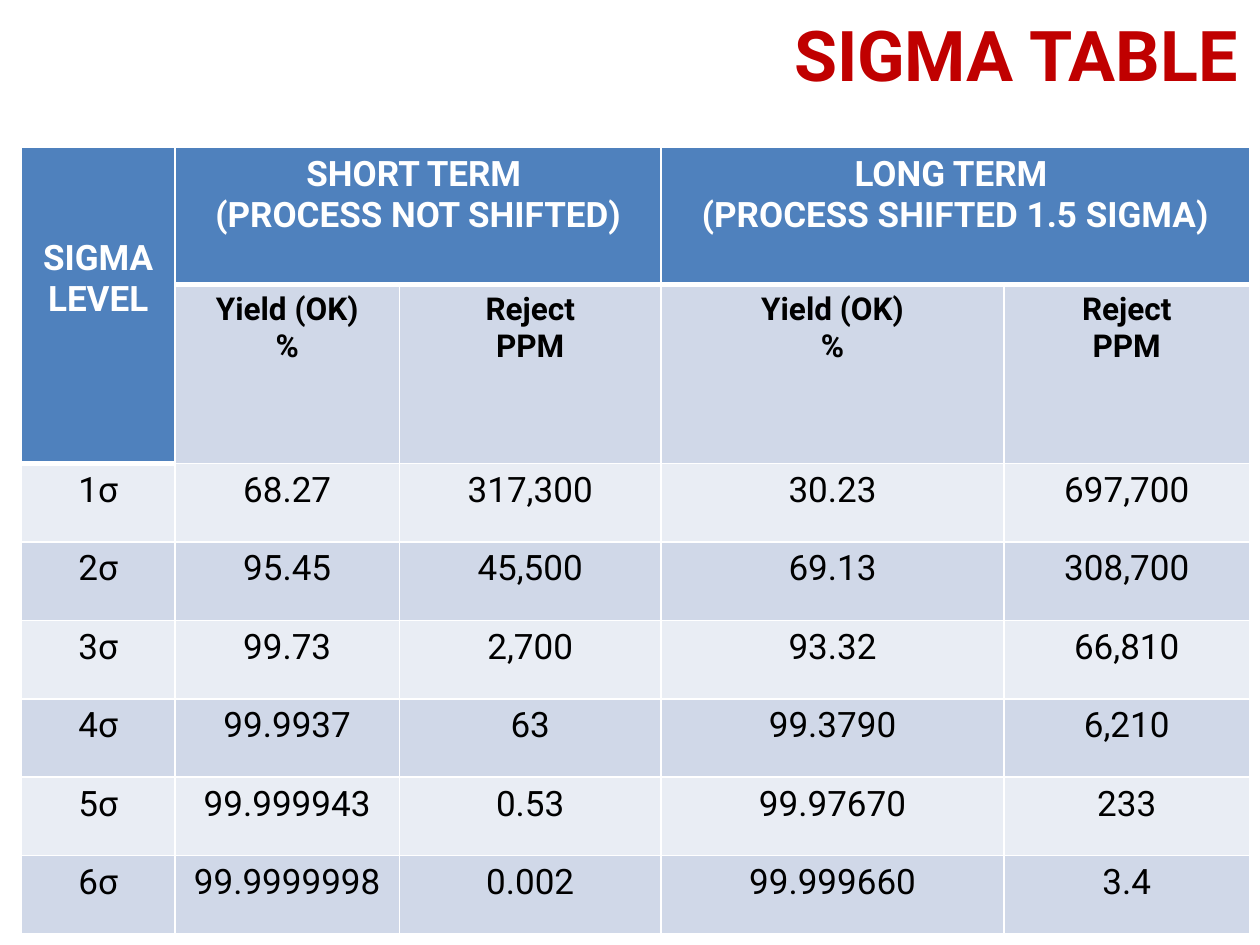
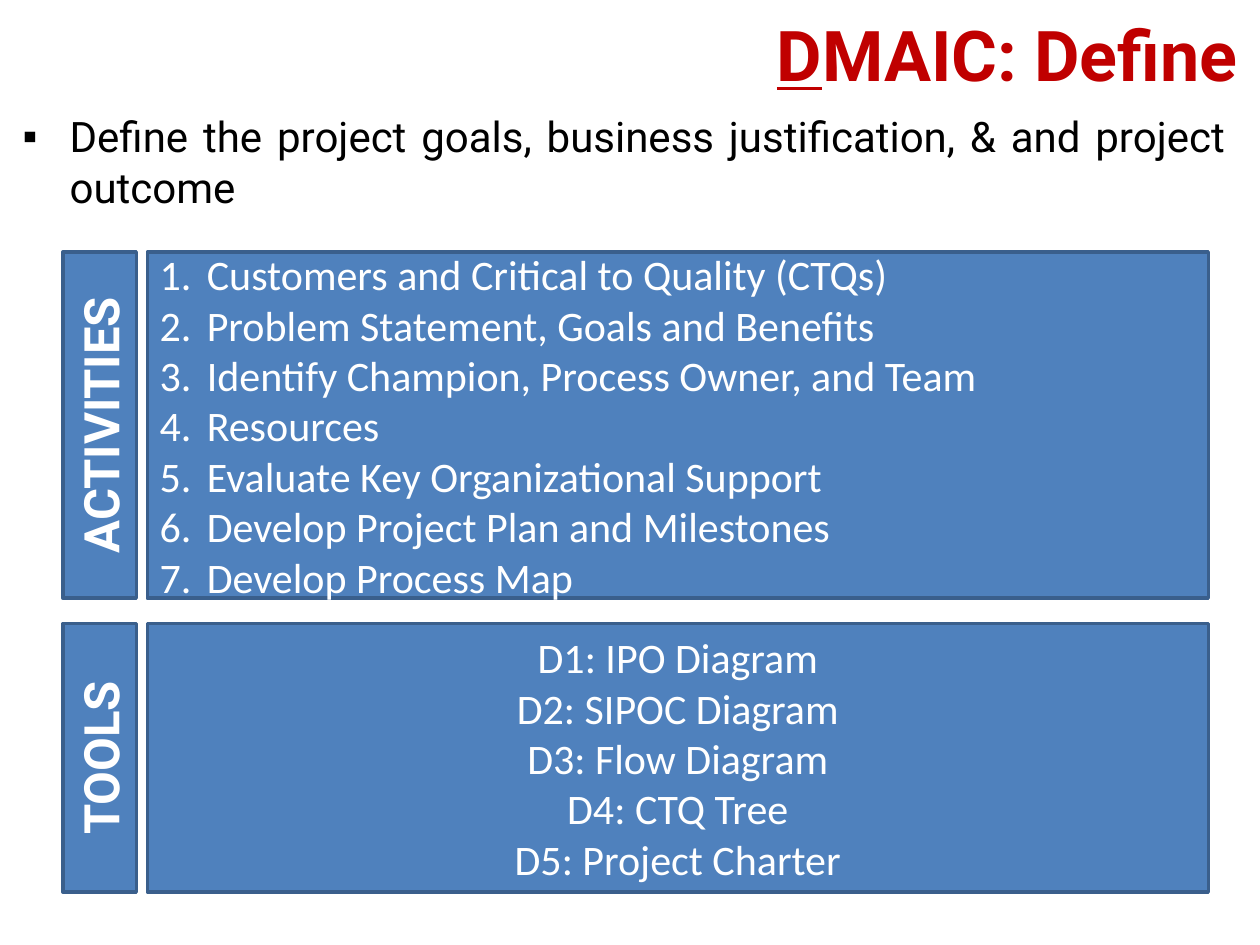
import pptx
import pptx.util
import pptx.dml.color
import pptx.enum.shapes
import pptx.enum.text
import pptx.oxml.ns
import lxml.etree

Cm, Pt = pptx.util.Cm, pptx.util.Pt
ALIGN = pptx.enum.text.PP_ALIGN
MID = pptx.enum.text.MSO_ANCHOR.MIDDLE

# Content
HEADS = [
    ["SIGMA LEVEL", "SHORT TERM \n(PROCESS NOT SHIFTED)", "",
     "LONG TERM \n(PROCESS SHIFTED 1.5 SIGMA)", ""],
    [""] + ["Yield (OK)\n%", "Reject\nPPM"] * 2,
]
LEVELS = [
    ["1σ", "68.27", "317,300", "30.23", "697,700"],
    ["2σ", "95.45", "45,500", "69.13", "308,700"],
    ["3σ", "99.73", "2,700", "93.32", "66,810"],
    ["4σ", "99.9937", "63", "99.3790", "6,210"],
    ["5σ", "99.999943", "0.53", "99.97670", "233"],
    ["6σ", "99.9999998", "0.002", "99.999660", "3.4"],
]
GOAL = "Define the project goals, business justification, & and project outcome"
TASKS = [
    "Customers and Critical to Quality (CTQs)",
    "Problem Statement, Goals and Benefits",
    "Identify Champion, Process Owner, and Team",
    "Resources",
    "Evaluate Key Organizational Support",
    "Develop Project Plan and Milestones",
    "Develop Process Map",
]
TOOLS = ["D1: IPO Diagram", "D2: SIPOC Diagram", "D3: Flow Diagram",
         "D4: CTQ Tree", "D5: Project Charter"]

# Shared look: colours, text formats, places in cm
RED, BLUE, EDGE = "C00000", "4F81BD", "3A5F8C"
WHITE, BLACK, DARK, PALE = "FFFFFF", "000000", "D0D8E8", "E9EDF4"
TITLE = dict(name="Roboto", size=Pt(40), bold=True, color=RED)
HEAD = dict(name="Roboto", size=Pt(20), bold=True, color=WHITE)
SUB = dict(HEAD, size=Pt(18), color=BLACK)
CELL = dict(HEAD, bold=False, color=BLACK)
BODY = dict(name="Roboto", size=Pt(24), color=BLACK)
ITEM = dict(name="Calibri", size=Pt(24), bold=False, color=WHITE)
SIDE = dict(HEAD, size=Pt(28))

COLS = [3.1, 4.52, 5.28, 6.91, 4.95]
ROWS = [2.77, 2.54] + [1.58] * len(LEVELS)
BAND_X, BAND_W, BOX_X, BOX_W = 1.27, 1.48, 2.97, 21.39
INDENT = Cm(0.95)
NUMBER = ("buAutoNum", dict(type="arabicPeriod"))
SQUARE = ("buChar", dict(char="▪"))


def ink(code):
    return pptx.dml.color.RGBColor.from_string(code)


def put(obj, **vals):
    for key, val in vals.items():
        setattr(obj, key, val)


def style(font, look):
    for key, val in look.items():
        if key == "color":
            font.color.rgb = ink(val)
        else:
            setattr(font, key, val)


def fill(part, code):
    part.fill.solid()
    part.fill.fore_color.rgb = ink(code)


def node(up, tag, **vals):
    return lxml.etree.SubElement(up, pptx.oxml.ns.qn("a:" + tag), vals)


def place(shape, left, top, width, height):
    put(shape, left=Cm(left), top=Cm(top), width=Cm(width), height=Cm(height))


def write(frame, lines, look, align, mark=None):
    """Fill a text frame, one paragraph a line, with an optional list mark."""
    frame.text = "\n".join(lines)
    for para in frame.paragraphs:
        put(para, alignment=align, space_before=Pt(0))
        if mark:
            props = para._p.get_or_add_pPr()
            props.set("marL", str(INDENT))
            props.set("indent", str(-INDENT))
            node(props, mark[0], **mark[1])
        for run in para.runs:
            style(run.font, look)


def start(deck, layout, parts):
    """Add a slide; parts are the title's (text, underline) pairs."""
    slide = deck.slides.add_slide(deck.slide_layouts[layout])
    title = slide.shapes.title
    place(title, 3.18, 0.25, 22.02, 1.65)
    put(title.text_frame, vertical_anchor=MID, word_wrap=True,
        auto_size=pptx.enum.text.MSO_AUTO_SIZE.NONE)
    para = title.text_frame.paragraphs[0]
    para.alignment = ALIGN.RIGHT
    for text, under in parts:
        run = para.add_run()
        run.text = text
        style(run.font, dict(TITLE, underline=under))
    return slide


def is_head(row, col):
    return row == 0 or (row == 1 and col == 0)


def rule(cell, row, col):
    """White cell borders, heavier below the header cells."""
    low = (row == 0 and col > 0) or (row == 1 and col == 0)
    high = (row == 1 and col > 0) or (row == 2 and col == 0)
    wide = dict(L=1, R=1, T=3 if high else 1,
                B=3 if low or (row, col) == (0, 0) else 1)
    props = cell._tc.get_or_add_tcPr()
    for side, width in wide.items():
        line = node(props, "ln" + side, w=str(Pt(width)))
        node(node(line, "solidFill"), "srgbClr", val=WHITE)


def sigma(deck):
    slide = start(deck, 5, [("SIGMA TABLE", False)])
    data = HEADS + LEVELS
    grid = slide.shapes.add_table(
        len(ROWS), len(COLS), Cm(0.43), Cm(2.97),
        Cm(sum(COLS)), Cm(sum(ROWS))).table
    put(grid, first_row=False, horz_banding=False)
    for col, width in zip(grid.columns, COLS):
        col.width = Cm(width)
    for row, height in zip(grid.rows, ROWS):
        row.height = Cm(height)
    for r, texts in enumerate(data):
        for c, text in enumerate(texts):
            cell = grid.cell(r, c)
            rule(cell, r, c)
            head = is_head(r, c)
            fill(cell, BLUE if head else DARK if r % 2 else PALE)
            look = HEAD if head else SUB if r == 1 else CELL
            write(cell.text_frame, text.split("\n"), look, ALIGN.CENTER)
    # Header spans
    for top, left, end, right in [(0, 0, 1, 0), (0, 1, 0, 2), (0, 3, 0, 4)]:
        grid.cell(top, left).merge(grid.cell(end, right))
    grid.cell(0, 0).margin_top = Cm(1.82)


def block(slide, spot, lines, look, align, mark=None, turn=0):
    shape = slide.shapes.add_shape(
        pptx.enum.shapes.MSO_SHAPE.RECTANGLE, *map(Cm, spot))
    shape.shadow.inherit = False
    fill(shape, BLUE)
    shape.line.color.rgb = ink(EDGE)
    put(shape.line, width=Pt(2))
    put(shape, rotation=turn)
    put(shape.text_frame, word_wrap=True, vertical_anchor=MID)
    write(shape.text_frame, lines, look, align, mark)


def define(deck):
    slide = start(deck, 1, [("D", True), ("MAIC: Define", False)])
    body = slide.placeholders[1]
    place(body, 0.2, 2.11, 24.76, 2.54)
    put(body.text_frame, word_wrap=True,
        auto_size=pptx.enum.text.MSO_AUTO_SIZE.NONE)
    write(body.text_frame, [GOAL], BODY, ALIGN.JUSTIFY, SQUARE)
    # Each panel: a turned side band and a list box
    panels = [
        ("ACTIVITIES", 5.08, 6.98, TASKS, ALIGN.JUSTIFY, NUMBER),
        ("TOOLS", 12.57, 5.41, TOOLS, ALIGN.CENTER, None),
    ]
    for name, top, high, lines, align, mark in panels:
        shift = (high - BAND_W) / 2
        band = (BAND_X - shift, top + shift, high, BAND_W)
        block(slide, band, [name], SIDE, ALIGN.CENTER, turn=270)
        block(slide, (BOX_X, top, BOX_W, high), lines, ITEM, align, mark)


def main():
    deck = pptx.Presentation()
    put(deck, slide_width=Cm(25.4), slide_height=Cm(19.05))
    sigma(deck)
    define(deck)
    deck.save("out.pptx")


if __name__ == "__main__":
    main()
